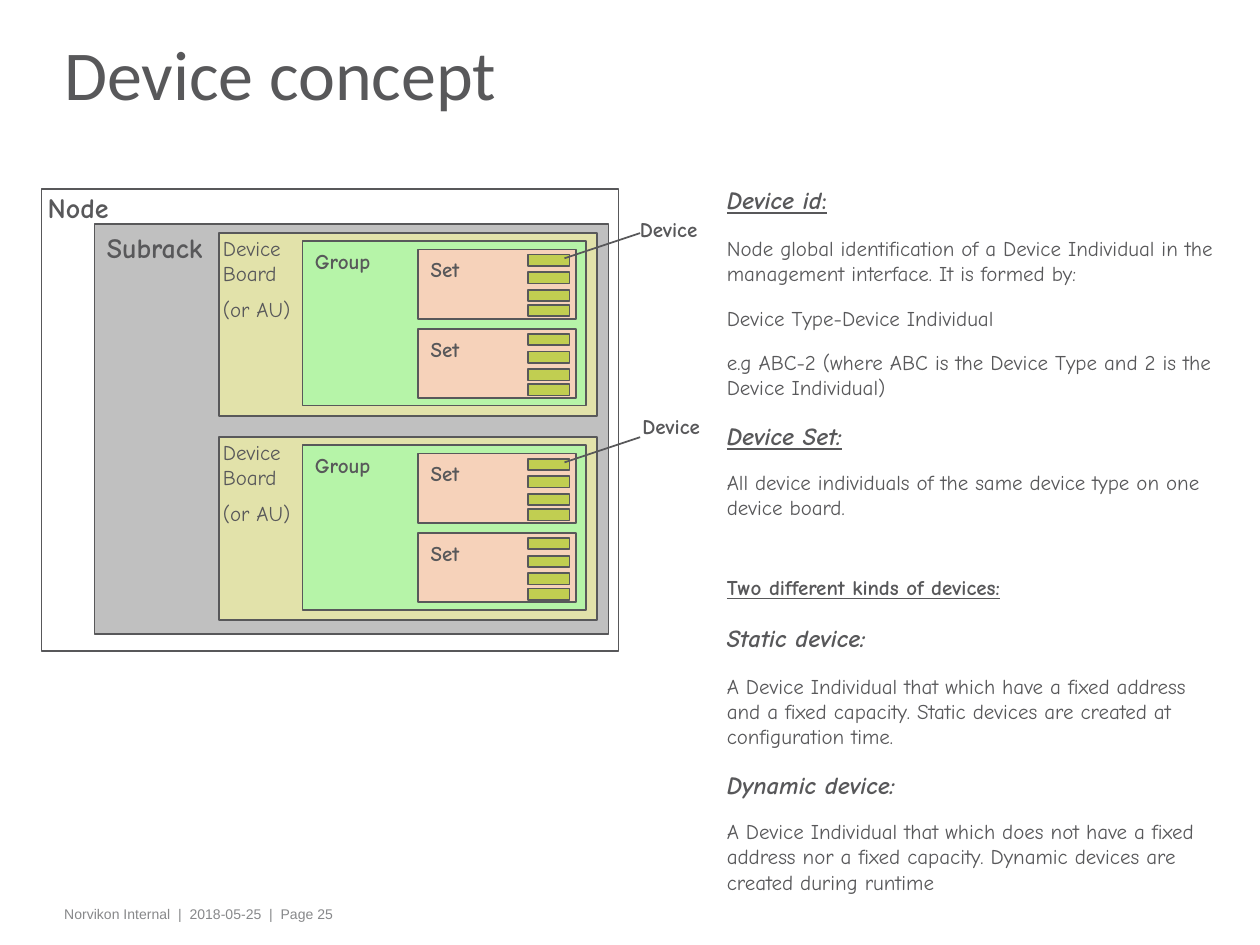
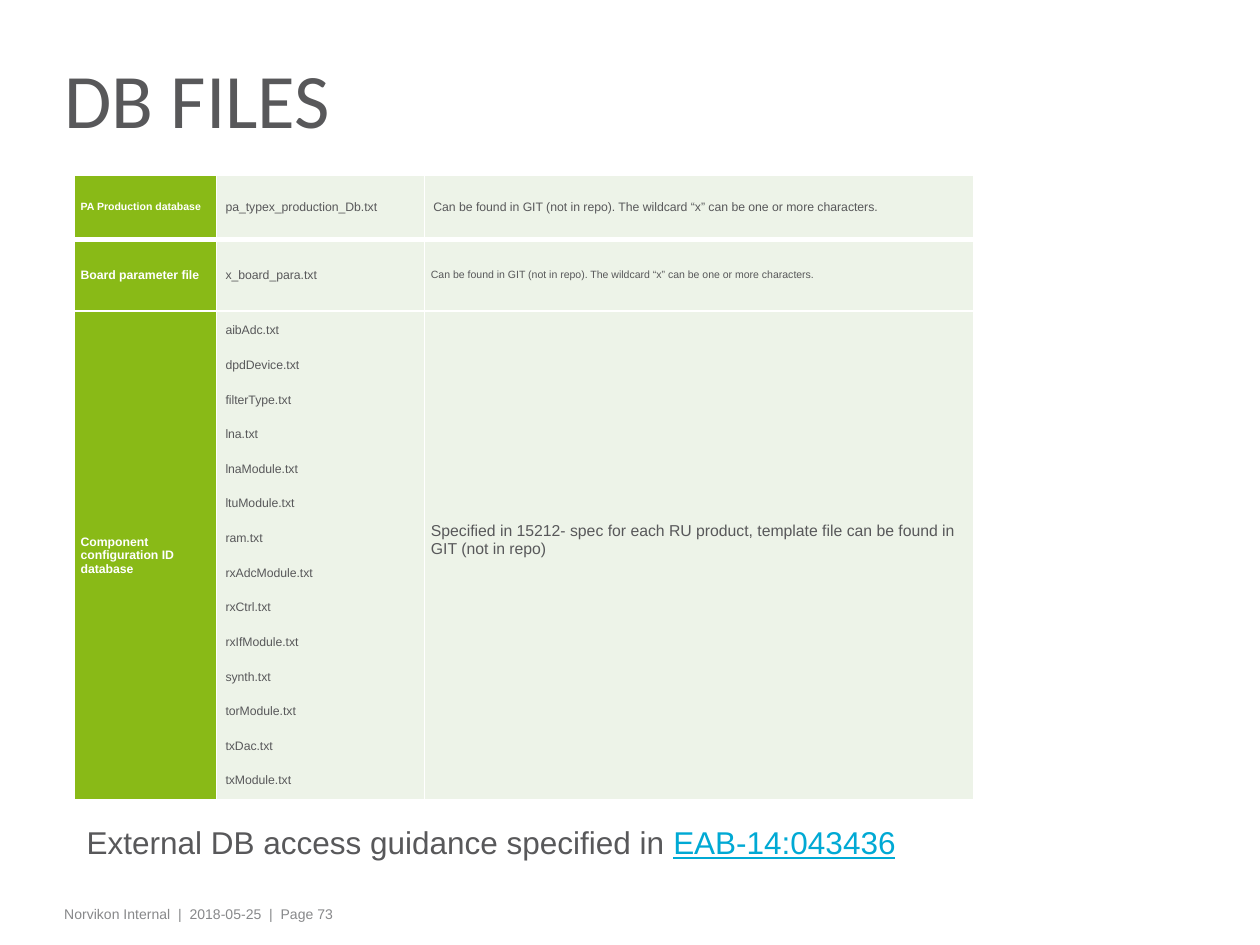
from dataclasses import dataclass

from lxml.etree import SubElement
from pptx import Presentation
from pptx.dml.color import RGBColor
from pptx.enum.shapes import MSO_CONNECTOR, MSO_SHAPE
from pptx.enum.text import MSO_ANCHOR, MSO_AUTO_SIZE, PP_ALIGN
from pptx.oxml.ns import qn
from pptx.util import Inches, Pt

WHITE, GRAY, FOOTER_GRAY, SUBRACK_GRAY = "FFFFFF", "58585A", "87888A", "C0C0C0"
BOARD_YELLOW, GROUP_GREEN, SET_PEACH, DEVICE_GREEN = "FFFF99", "B6F4A8", "FECFBC", "99CC00"
HEADER_GREEN, CELL_GREEN, LINK_BLUE = "89BA17", "EDF3E8", "00A9D4"
TITLE_FONT, TEXT_FONT, DIAGRAM_FONT = "Calibri", "Arial", "Comic Neue"
FOOTER = "Norvikon Internal  |  2018-05-25  |  Page {}"

SET_PITCH = 0.63
DEVICE_OFFSETS = (0.04, 0.18, 0.32, 0.44)


@dataclass
class Box:
    left: float
    top: float
    width: float
    height: float

    def emu(self) -> tuple:
        return tuple(Inches(n) for n in (self.left, self.top, self.width, self.height))


@dataclass
class Board:
    top: float
    label_left: float
    label_top: float


@dataclass
class Entry:
    text: str
    size: float = 12
    before: float = 6
    after: float = 5
    bold: bool = False
    italic: bool = False
    underline: bool = False
    suffix: str = ""


@dataclass
class FileRow:
    height: float
    name: str
    name_size: float
    files: list
    note: str
    note_size: float
    note_left: float = 0.05
    note_bottom: float = 0.01


BOARDS = [Board(1.85, 4.98, 1.67), Board(3.47, 5, 3.23)]

DEFINITIONS = [
    Entry("Device id", 14, 0, 6, True, True, True, suffix=":"),
    Entry("Node global identification of a Device Individual in the management interface. "
          "It is formed by:"),
    Entry("Device Type-Device Individual"),
    Entry("e.g ABC-2 (where ABC is the Device Type and 2 is the Device Individual)"),
    Entry("Device Set:", 14, 7, 5, True, True, True),
    Entry("All device individuals of the same device type on one device board."),
    Entry("Two different kinds of devices:", 12, 26.4, 6, True, underline=True),
    Entry("Static device:", 14, 7, 6, True, True),
    Entry("A Device Individual that which have a fixed address and a fixed capacity. "
          "Static devices are created at configuration time."),
    Entry("Dynamic device:", 14, 7, 5, True, True),
    Entry("A Device Individual that which does not have a fixed address nor a fixed capacity. "
          "Dynamic devices are created during runtime"),
]

GIT_NOTE = "Can be found in GIT (not in repo). The wildcard “x” can be one or more characters."
COMPONENTS = ["aibAdc", "dpdDevice", "filterType", "lna", "lnaModule", "ltuModule", "ram",
              "rxAdcModule", "rxCtrl", "rxIfModule", "synth", "torModule", "txDac", "txModule"]
FILE_ROWS = [
    FileRow(0.51, "PA Production database", 6, ["pa_typex_production_Db.txt"], GIT_NOTE, 7, 0.07),
    FileRow(0.57, "Board parameter file", 7, ["x_board_para.txt"], GIT_NOTE, 6),
    FileRow(3.88, "Component configuration ID database", 7,
            [f"{component}.txt" for component in COMPONENTS],
            "Specified in 15212- spec for each RU product, template file can be found in "
            "GIT (not in repo)", 9, note_bottom=0.26),
]


def rgb(color: str) -> RGBColor:
    return RGBColor.from_string(color)


def write(paragraph, text: str, *, size: float, font: str = TEXT_FONT, color: str = GRAY,
          bold: bool = False, italic: bool = False, underline: bool = False) -> None:
    for index, line in enumerate(text.split("\n")):
        if index:
            paragraph.add_line_break()
        run = paragraph.add_run()
        run.text = line
        run.font.name = font
        run.font.size = Pt(size)
        run.font.color.rgb = rgb(color)
        run.font.bold = bold
        run.font.italic = italic
        run.font.underline = underline


def next_paragraph(frame, index: int, before: float):
    if index == 0:
        return frame.paragraphs[0]
    paragraph = frame.add_paragraph()
    paragraph.space_before = Pt(before)
    return paragraph


def add_frame(slide, box: Box, wrap: bool = True):
    frame = slide.shapes.add_textbox(*box.emu()).text_frame
    frame.word_wrap = wrap
    return frame


def add_label(slide, box: Box, *texts: str, size: float = 12, bold: bool = True) -> None:
    frame = add_frame(slide, box, wrap=False)
    for index, text in enumerate(texts):
        paragraph = next_paragraph(frame, index, size / 2)
        write(paragraph, text, size=size, font=DIAGRAM_FONT, bold=bold)


def add_rectangle(slide, box: Box, color: str, opacity: int = 100) -> None:
    shape = slide.shapes.add_shape(MSO_SHAPE.RECTANGLE, *box.emu())
    shape.shadow.inherit = False
    shape.fill.solid()
    shape.fill.fore_color.rgb = rgb(color)
    shape.line.color.rgb = rgb(GRAY)
    shape.line.width = Pt(1)
    if opacity < 100:
        fill_color = shape._element.spPr.find(qn("a:solidFill"))[0]
        SubElement(fill_color, qn("a:alpha")).set("val", str(opacity * 1000))


def add_pointer(slide, left: float, top: float, right: float, bottom: float) -> None:
    connector = slide.shapes.add_connector(
        MSO_CONNECTOR.STRAIGHT, Inches(left), Inches(top), Inches(right), Inches(bottom))
    connector.line.color.rgb = rgb(GRAY)
    connector.line.width = Pt(1)
    SubElement(connector._element.spPr, qn("a:effectLst"))


def add_titled_slide(presentation, title: str, size: float, height: float, page: int):
    slide = presentation.slides.add_slide(presentation.slide_layouts[5])
    shape = slide.shapes.title
    shape.left, shape.top, shape.width, shape.height = Box(0.43, 0.26, 8.2, height).emu()
    frame = shape.text_frame
    frame.auto_size = MSO_AUTO_SIZE.NONE
    frame.vertical_anchor = MSO_ANCHOR.MIDDLE
    frame.margin_left = frame.margin_right = Inches(0.08)
    frame.margin_top = frame.margin_bottom = 0
    paragraph = frame.paragraphs[0]
    paragraph.alignment = PP_ALIGN.LEFT
    paragraph.line_spacing = 0.75
    write(paragraph, title, size=size, font=TITLE_FONT)

    footer = add_frame(slide, Box(0.43, 7.14, 8.09, 0.24))
    footer.margin_left = footer.margin_right = Inches(0.08)
    write(footer.paragraphs[0], FOOTER.format(page), size=8, color=FOOTER_GRAY)
    return slide


def add_set(slide, top: float) -> None:
    add_rectangle(slide, Box(3.32, top, 1.25, 0.55), SET_PEACH, 90)
    add_label(slide, Box(3.32, top + 0.01, 0.49, 0.3), "Set")
    for offset in DEVICE_OFFSETS:
        add_rectangle(slide, Box(4.19, top + offset, 0.33, 0.09), DEVICE_GREEN, 56)


def add_board(slide, board: Board) -> None:
    top = board.top
    add_rectangle(slide, Box(1.74, top, 3, 1.45), BOARD_YELLOW, 55)
    add_label(slide, Box(1.67, top - 0.03, 0.78, 0.7), "Device\nBoard", "(or AU)", bold=False)
    add_rectangle(slide, Box(2.4, top + 0.06, 2.25, 1.31), GROUP_GREEN)
    add_label(slide, Box(2.4, top + 0.07, 0.65, 0.3), "Group")
    for index in range(2):
        add_set(slide, top + 0.13 + index * SET_PITCH)
    add_label(slide, Box(board.label_left, board.label_top, 0.72, 0.3), "Device")
    add_pointer(slide, 5.08, top, 4.48, top + 0.2)


def build_device_slide(presentation) -> None:
    slide = add_titled_slide(presentation, "Device concept", 40, 0.77, 25)
    frame = add_frame(slide, Box(5.67, 1.42, 4.16, 5.23))
    for index, entry in enumerate(DEFINITIONS):
        paragraph = next_paragraph(frame, index, entry.before)
        paragraph.space_after = Pt(entry.after)
        write(paragraph, entry.text, size=entry.size, font=DIAGRAM_FONT, bold=entry.bold,
              italic=entry.italic, underline=entry.underline)
        if entry.suffix:
            write(paragraph, entry.suffix, size=entry.size, font=DIAGRAM_FONT,
                  bold=entry.bold, underline=entry.underline)

    add_rectangle(slide, Box(0.33, 1.5, 4.58, 3.67), WHITE)
    add_rectangle(slide, Box(0.75, 1.78, 4.08, 3.25), SUBRACK_GRAY)
    add_label(slide, Box(0.28, 1.46, 0.75, 0.36), "Node", size=16)
    add_label(slide, Box(0.75, 1.78, 1.07, 0.36), "Subrack", size=16)
    for board in BOARDS:
        add_board(slide, board)


def set_borders(cell, top: float, bottom: float) -> None:
    properties = cell._tc.get_or_add_tcPr()
    for side, width in (("L", 1), ("R", 1), ("T", top), ("B", bottom)):
        line = SubElement(properties, qn(f"a:ln{side}"), w=str(Pt(width)))
        fill = SubElement(line, qn("a:solidFill"))
        SubElement(fill, qn("a:srgbClr"), val=WHITE)


def fill_cell(cell, texts: list, fill: str, left: float = 0.05, bottom: float = 0.01,
              **text_format) -> None:
    cell.vertical_anchor = MSO_ANCHOR.MIDDLE
    cell.margin_left, cell.margin_right = Inches(left), Inches(0.05)
    cell.margin_top, cell.margin_bottom = Inches(0.01), Inches(bottom)
    cell.fill.solid()
    cell.fill.fore_color.rgb = rgb(fill)
    for index, text in enumerate(texts):
        write(next_paragraph(cell.text_frame, index, 12), text, **text_format)


def build_files_slide(presentation) -> None:
    slide = add_titled_slide(presentation, "DB FILES", 44, 1.19, 73)
    table = slide.shapes.add_table(len(FILE_ROWS), 3, *Box(0.59, 1.39, 7.14, 4.96).emu()).table
    table.first_row = table.horz_banding = False
    for column, width in zip(table.columns, (1.13, 1.65, 4.36)):
        column.width = Inches(width)
    for index, row in enumerate(FILE_ROWS):
        table.rows[index].height = Inches(row.height)
        name, files, note = table.rows[index].cells
        for cell in (name, files, note):
            set_borders(cell, top=3 if index == 1 else 1, bottom=3 if index == 0 else 1)
        fill_cell(name, [row.name], HEADER_GREEN, size=row.name_size, color=WHITE, bold=True)
        fill_cell(files, row.files, CELL_GREEN, left=0.07, size=7)
        fill_cell(note, [row.note], CELL_GREEN, left=row.note_left, bottom=row.note_bottom,
                  size=row.note_size)

    paragraph = add_frame(slide, Box(0.59, 6.48, 8.67, 0.4)).paragraphs[0]
    write(paragraph, "External DB access guidance specified in ", size=18)
    write(paragraph, "EAB-14:043436", size=18, color=LINK_BLUE, underline=True)


def main() -> None:
    presentation = Presentation()
    presentation.slide_width, presentation.slide_height = Inches(10), Inches(7.5)
    build_device_slide(presentation)
    build_files_slide(presentation)
    presentation.save("out.pptx")


if __name__ == "__main__":
    main()
